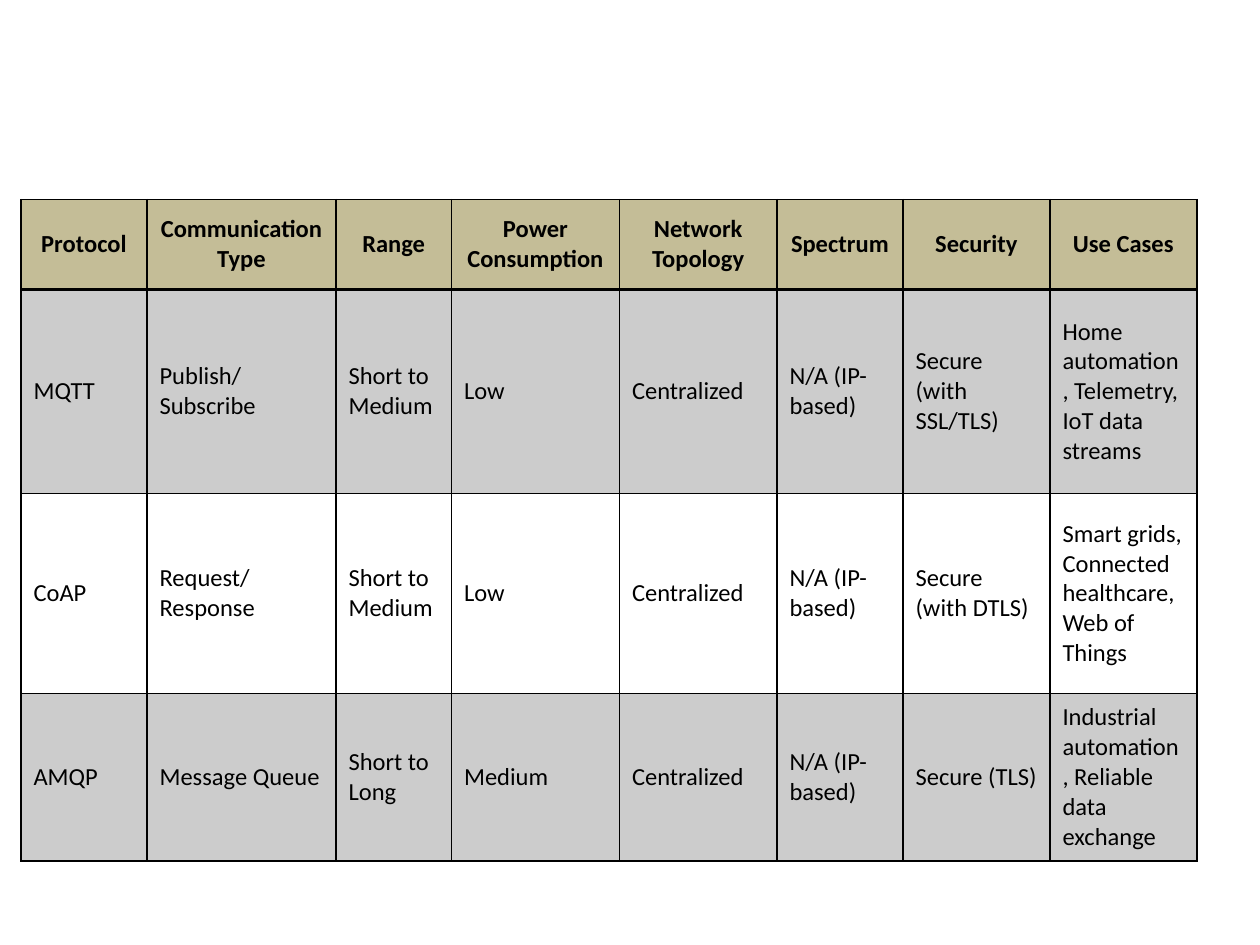
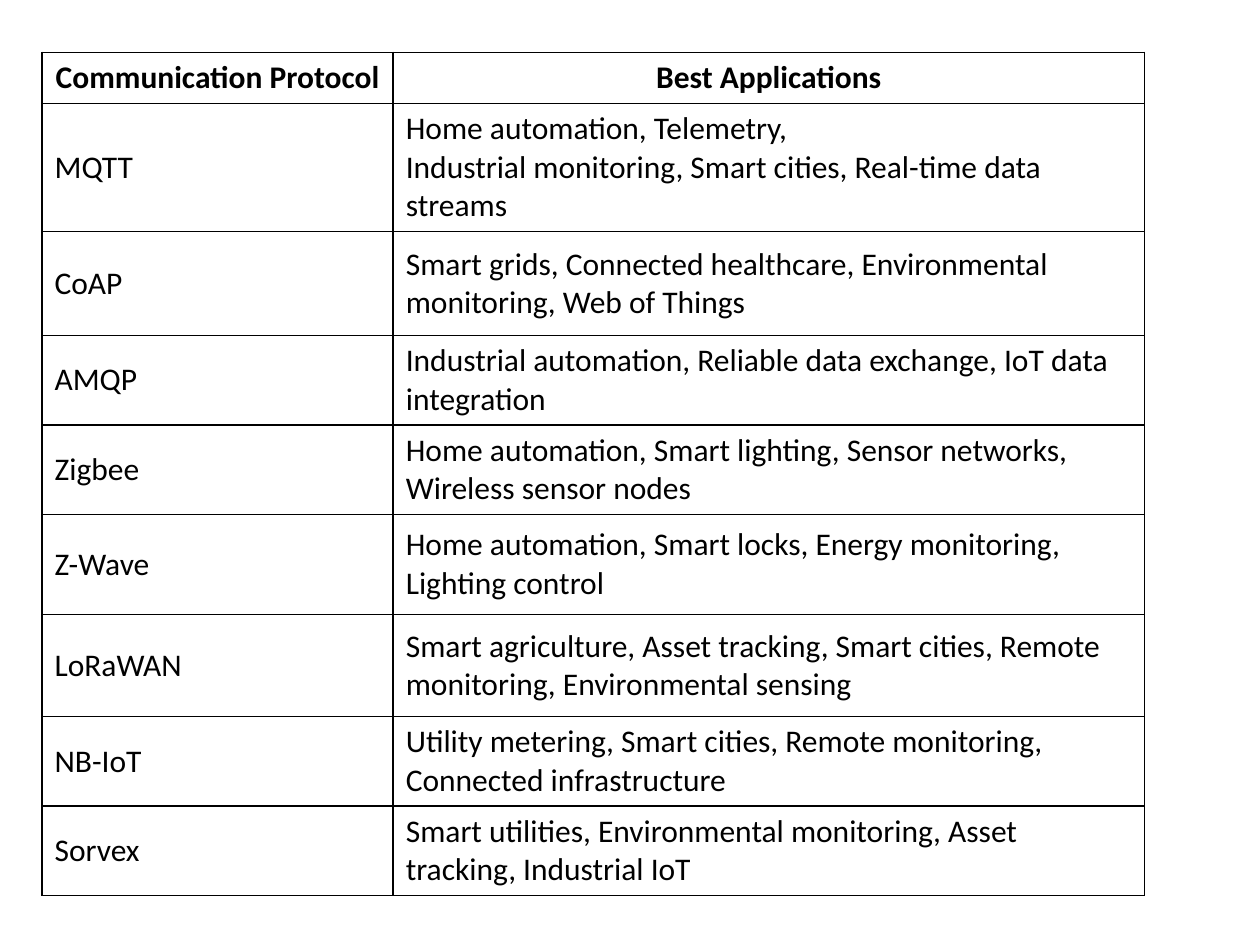
from dataclasses import dataclass
from typing import Optional

from lxml.etree import SubElement
from pptx import Presentation
from pptx.dml.color import RGBColor
from pptx.enum.text import MSO_ANCHOR, PP_ALIGN
from pptx.oxml.ns import qn
from pptx.util import Pt

BLACK = RGBColor(0x00, 0x00, 0x00)
KHAKI = RGBColor(0xC4, 0xBD, 0x97)
FONT = "Calibri"
THIN = 1
THICK = 2
BAND_OPACITY = 20


@dataclass(frozen=True)
class Grid:
    """Content and look of one table; all lengths are in points."""
    left: float
    top: float
    column_widths: list[float]
    row_heights: list[float]
    rows: list[tuple[str, ...]]
    font_size: float
    header_anchor: MSO_ANCHOR
    header_fill: Optional[RGBColor] = None
    header_rule: float = THIN
    banded: bool = False


PROTOCOL_COMPARISON = Grid(
    left=12, top=114,
    column_widths=[72, 108, 66, 96, 90, 72, 84, 84],
    row_heights=[51.3, 116.7, 114.3, 95.7],
    rows=[
        ("Protocol", "Communication Type", "Range", "Power Consumption",
         "Network Topology", "Spectrum", "Security", "Use Cases"),
        ("MQTT", "Publish/Subscribe", "Short to Medium", "Low", "Centralized",
         "N/A (IP-based)", "Secure (with SSL/TLS)",
         "Home automation, Telemetry, IoT data streams"),
        ("CoAP", "Request/Response", "Short to Medium", "Low", "Centralized",
         "N/A (IP-based)", "Secure (with DTLS)",
         "Smart grids, Connected healthcare, Web of Things"),
        ("AMQP", "Message Queue", "Short to Long", "Medium", "Centralized",
         "N/A (IP-based)", "Secure (TLS)",
         "Industrial automation, Reliable data exchange"),
    ],
    font_size=14, header_anchor=MSO_ANCHOR.MIDDLE,
    header_fill=KHAKI, header_rule=THICK, banded=True,
)

BEST_APPLICATIONS = Grid(
    left=24, top=30,
    column_widths=[200.7, 429.3],
    row_heights=[29, 73, 59.3, 51, 51, 57.2, 58.4, 51, 51],
    rows=[
        ("Communication Protocol", "Best Applications"),
        ("MQTT", "Home automation, Telemetry,\n"
                 "Industrial monitoring, Smart cities, Real-time data streams"),
        ("CoAP", "Smart grids, Connected healthcare, "
                 "Environmental monitoring, Web of Things"),
        ("AMQP", "Industrial automation, Reliable data exchange, "
                 "IoT data integration"),
        ("Zigbee", "Home automation, Smart lighting, Sensor networks, "
                   "Wireless sensor nodes"),
        ("Z-Wave", "Home automation, Smart locks, Energy monitoring, "
                   "Lighting control"),
        ("LoRaWAN", "Smart agriculture, Asset tracking, Smart cities, "
                    "Remote monitoring, Environmental sensing"),
        ("NB-IoT", "Utility metering, Smart cities, Remote monitoring, "
                   "Connected infrastructure"),
        ("Sorvex", "Smart utilities, Environmental monitoring, "
                   "Asset tracking, Industrial IoT"),
    ],
    font_size=18, header_anchor=MSO_ANCHOR.BOTTOM,
)


def set_borders(cell, top: float, bottom: float) -> None:
    """Must run before the fill, which follows the lines in the cell XML."""
    properties = cell._tc.get_or_add_tcPr()
    for side, width in (("L", THIN), ("R", THIN), ("T", top), ("B", bottom)):
        line = SubElement(properties, qn(f"a:ln{side}"), w=str(Pt(width)))
        fill = SubElement(line, qn("a:solidFill"))
        SubElement(fill, qn("a:srgbClr"), val=str(BLACK))


def set_fill(cell, color: Optional[RGBColor], opacity: int = 100) -> None:
    if color is None:
        cell.fill.background()
        return
    cell.fill.solid()
    cell.fill.fore_color.rgb = color
    if opacity < 100:
        color_node = cell._tc.tcPr.find(f"{qn('a:solidFill')}/{qn('a:srgbClr')}")
        SubElement(color_node, qn("a:alpha"), val=str(opacity * 1000))


def fill_cell(cell, text: str, row_index: int, grid: Grid) -> None:
    is_header = row_index == 0
    set_borders(cell,
                top=grid.header_rule if row_index == 1 else THIN,
                bottom=grid.header_rule if is_header else THIN)
    if is_header:
        set_fill(cell, grid.header_fill)
    else:
        in_band = grid.banded and row_index % 2 == 1
        set_fill(cell, BLACK if in_band else None, BAND_OPACITY)

    cell.vertical_anchor = grid.header_anchor if is_header else MSO_ANCHOR.MIDDLE
    cell.text_frame.text = text
    for paragraph in cell.text_frame.paragraphs:
        paragraph.alignment = PP_ALIGN.CENTER if is_header else PP_ALIGN.LEFT
        paragraph.font.name = FONT
        paragraph.font.size = Pt(grid.font_size)
        paragraph.font.bold = is_header
        paragraph.font.color.rgb = BLACK


def draw_grid(slide, grid: Grid) -> None:
    table = slide.shapes.add_table(
        len(grid.rows), len(grid.column_widths),
        Pt(grid.left), Pt(grid.top),
        Pt(sum(grid.column_widths)), Pt(sum(grid.row_heights))).table
    table.first_row = False
    table.horz_banding = False
    for column, width in zip(table.columns, grid.column_widths):
        column.width = Pt(width)
    for row, height in zip(table.rows, grid.row_heights):
        row.height = Pt(height)
    for row_index, texts in enumerate(grid.rows):
        for column_index, text in enumerate(texts):
            fill_cell(table.cell(row_index, column_index), text, row_index, grid)


def main() -> None:
    presentation = Presentation()
    presentation.slide_width = Pt(720)
    presentation.slide_height = Pt(540)
    blank_layout = presentation.slide_layouts[6]
    for grid in (PROTOCOL_COMPARISON, BEST_APPLICATIONS):
        draw_grid(presentation.slides.add_slide(blank_layout), grid)
    presentation.save("out.pptx")


if __name__ == "__main__":
    main()
